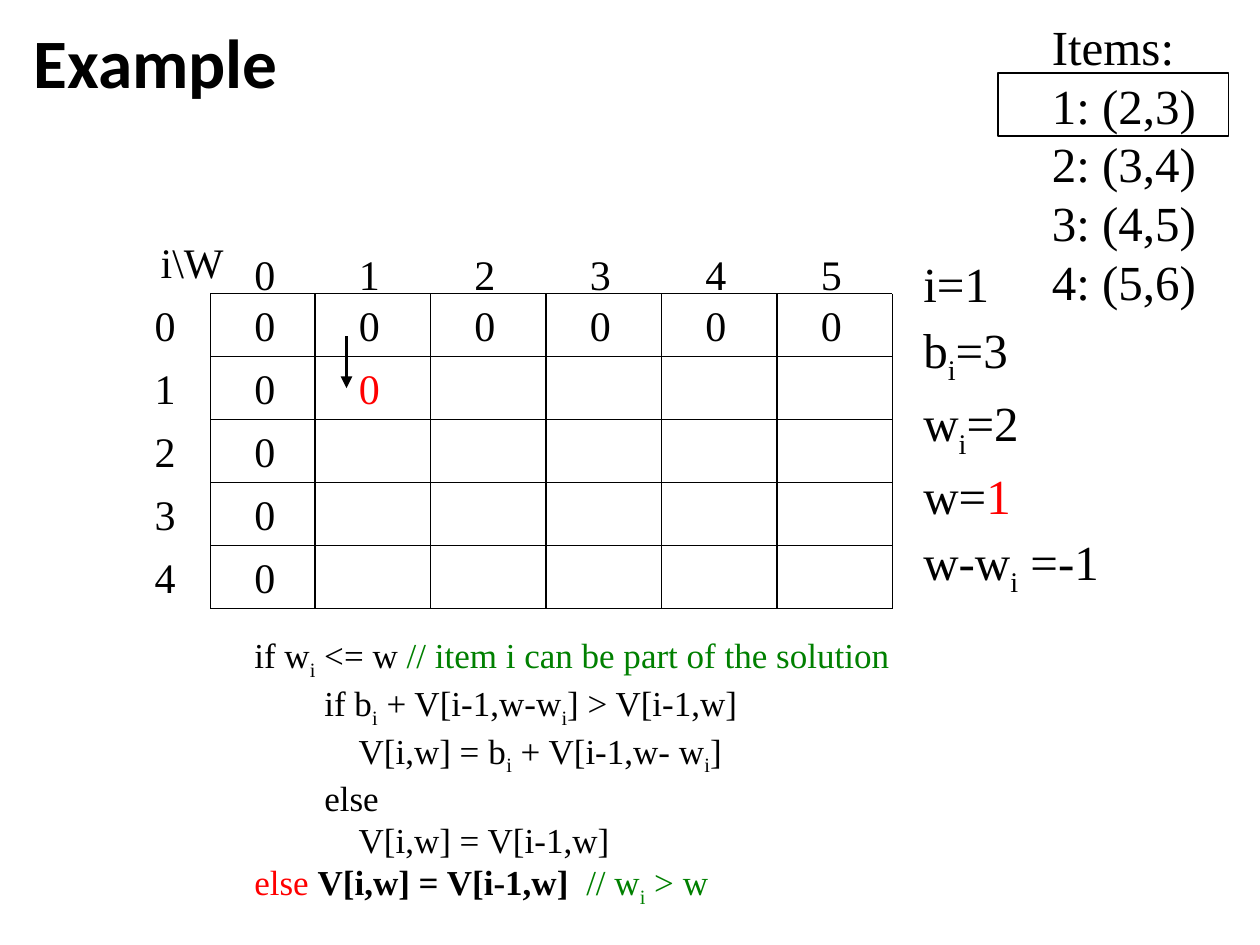
from dataclasses import dataclass

from lxml.etree import SubElement
from pptx import Presentation
from pptx.dml.color import RGBColor
from pptx.enum.shapes import MSO_CONNECTOR, MSO_SHAPE
from pptx.enum.text import MSO_AUTO_SIZE, PP_ALIGN
from pptx.oxml.ns import qn
from pptx.util import Inches, Pt


@dataclass(frozen=True)
class Theme:
    black: str = "000000"
    red: str = "FF0000"
    green: str = "008000"
    body_font: str = "Times New Roman"
    title_font: str = "Calibri"
    title_size: float = 39.6
    list_size: float = 28
    grid_size: float = 24
    code_size: float = 20
    thin: float = 0.75
    thick: float = 2.25


THEME = Theme()

# Grid of best values: column edges, row edges and the labels around them
COL_EDGES = [1.67] + [2.5 + k * 5.5 / 6 for k in range(6)]
ROW_EDGES = [2.33 + 0.5 * k for k in range(6)]
LABEL_X, LABEL_Y = 1.13, 1.92
DIGIT_INDENT = 0.25

# A paragraph is a list of (text, colour, bold) runs; "_" lowers the next letter.
CODE = [
    [("if w_i <= w ",), ("// item i can be part of the solution", THEME.green)],
    [("        if b_i + V[i-1,w-w_i] > V[i-1,w]",)],
    [("            V[i,w] = b_i + V[i-1,w- w_i]",)],
    [("        else",)],
    [("            V[i,w] = V[i-1,w]",)],
    [("else ", THEME.red), ("V[i,w] = V[i-1,w]  ", THEME.black, True),
     ("// w_i > w", THEME.green)],
]
ITEMS = ["Items:", "1: (2,3)", "2: (3,4)", "3: (4,5)", "4: (5,6)"]
STATE = ["i=1", "b_i=3", "w_i=2", [("w=",), ("1", THEME.red)], "w-w_i =-1"]


def add_run(p, text, size, color, bold, font, lowered=False):
    if not text:
        return
    r = p.add_run()
    r.text = text
    r.font.name = font
    r.font.size = Pt(size)
    r.font.bold = bold
    r.font.color.rgb = RGBColor.from_string(color)
    if lowered:
        r._r.get_or_add_rPr().set("baseline", "-25000")


def add_text(s, x, y, w, h, paragraphs, *, size, color=THEME.black, bold=False,
             font=THEME.body_font, align=PP_ALIGN.LEFT, spacing=None,
             wrap=True, grow=True):
    """Add a text box holding plain strings or lists of runs."""
    tf = s.shapes.add_textbox(Inches(x), Inches(y), Inches(w), Inches(h)).text_frame
    tf.word_wrap = wrap
    tf.auto_size = MSO_AUTO_SIZE.SHAPE_TO_FIT_TEXT if grow else MSO_AUTO_SIZE.NONE
    for n, runs in enumerate(paragraphs):
        p = tf.add_paragraph() if n else tf.paragraphs[0]
        p.alignment = align
        if spacing:
            p.line_spacing = spacing
        for text, *style in [(runs,)] if isinstance(runs, str) else runs:
            run_color, run_bold = style + [color, bold][len(style):]
            first, *rest = text.split("_")
            add_run(p, first, size, run_color, run_bold, font)
            for part in rest:
                add_run(p, part[0], size, run_color, run_bold, font, True)
                add_run(p, part[1:], size, run_color, run_bold, font)


def add_digit(s, x, y, digit, color=THEME.black):
    add_text(s, x, y, 0.37, 0.5, [str(digit)], size=THEME.grid_size, color=color,
             wrap=False)


def add_frame(s, x, y, w, h):
    sp = s.shapes.add_shape(MSO_SHAPE.RECTANGLE, Inches(x), Inches(y), Inches(w), Inches(h))
    sp.shadow.inherit = False
    sp.fill.background()
    sp.line.color.rgb = RGBColor.from_string(THEME.black)
    sp.line.width = Pt(THEME.thin)


def add_line(s, x1, y1, x2, y2, width=THEME.thin, arrow=False):
    c = s.shapes.add_connector(MSO_CONNECTOR.STRAIGHT, Inches(x1), Inches(y1),
                               Inches(x2), Inches(y2))
    c.line.color.rgb = RGBColor.from_string(THEME.black)
    c.line.width = Pt(width)
    if arrow:
        SubElement(c.line._get_or_add_ln(), qn("a:tailEnd"), type="triangle")
    SubElement(c._element.spPr, qn("a:effectLst"))


def add_grid(s):
    """Rule the grid, label it, and fill its first row and column with zeros."""
    for x in COL_EDGES:
        add_line(s, x, ROW_EDGES[0], x, ROW_EDGES[-1])
    for y in ROW_EDGES:
        add_line(s, COL_EDGES[0], y, COL_EDGES[-1], y)

    digit_xs = [x + DIGIT_INDENT for x in COL_EDGES[:-1]]
    digit_ys = ROW_EDGES[:-1]
    for w, x in enumerate(digit_xs):
        add_digit(s, x, LABEL_Y, w)
        add_digit(s, x, digit_ys[0], 0)
    for i, y in enumerate(digit_ys):
        add_digit(s, LABEL_X, y, i)
        if i:
            add_digit(s, digit_xs[0], y, 0)
    add_digit(s, digit_xs[1], digit_ys[1], 0, THEME.red)

    add_text(s, 1.15, 1.83, 0.75, 0.5, ["i\\W"], size=THEME.grid_size,
             align=PP_ALIGN.CENTER)


def main():
    prs = Presentation()
    prs.slide_width, prs.slide_height = Inches(10), Inches(7.5)
    s = prs.slides.add_slide(prs.slide_layouts[6])

    # Title
    add_text(s, 0.17, 0.18, 9.62, 0.74, ["Example"], grow=False, spacing=0.9,
             size=THEME.title_size, bold=True, font=THEME.title_font)

    # Items, with the current one framed
    add_text(s, 8.25, 0.08, 1.44, 2.44, ITEMS, wrap=False, size=THEME.list_size)
    add_frame(s, 7.92, 0.58, 1.83, 0.5)

    # Grid of best values and the value taken from the row above
    add_grid(s)
    add_line(s, 2.75, 2.67, 2.75, 3.08, width=THEME.thick, arrow=True)

    # Current state and algorithm
    add_text(s, 7.23, 1.92, 1.61, 2.67, STATE, size=THEME.list_size, spacing=1.1)
    add_text(s, 1.92, 4.98, 7.58, 2.1, CODE, size=THEME.code_size)

    prs.save("out.pptx")


if __name__ == "__main__":
    main()
